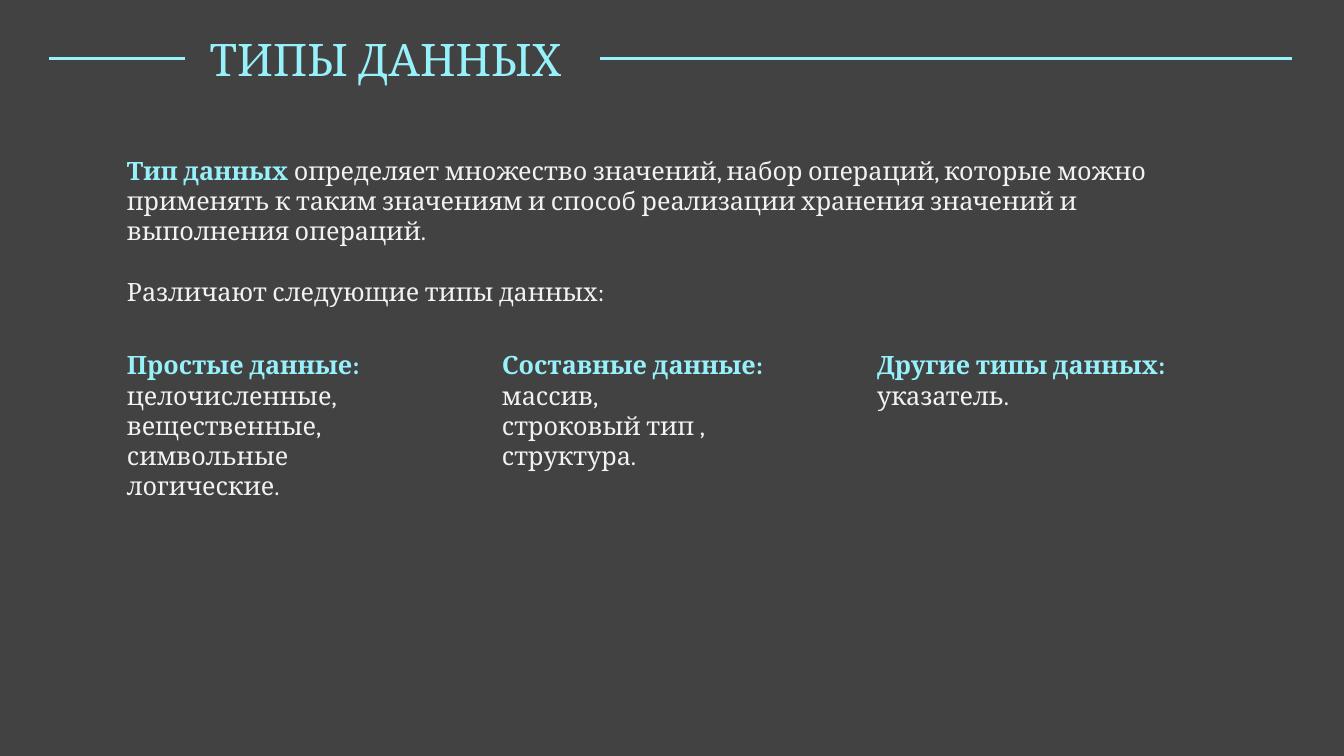
from pptx import Presentation
from pptx.dml.color import RGBColor
from pptx.enum.shapes import MSO_CONNECTOR
from pptx.enum.text import MSO_ANCHOR, MSO_AUTO_SIZE, PP_ALIGN
from pptx.oxml.ns import qn
from pptx.util import Inches, Pt
from lxml import etree

ACCENT, LIGHT, DARK = "97F1FB", "F2F2F2", "424242"


def rgb(value):
    return RGBColor.from_string(value)


def write(sp, box, paragraphs, size=18, wrap=True):
    sp.left, sp.top, sp.width, sp.height = [Inches(v) for v in box]
    tf = sp.text_frame
    tf.word_wrap = wrap
    tf.auto_size = MSO_AUTO_SIZE.NONE
    tf.vertical_anchor = MSO_ANCHOR.TOP
    for i, runs in enumerate(paragraphs):
        p = tf.add_paragraph() if i else tf.paragraphs[0]
        p.alignment = PP_ALIGN.LEFT
        for text, color, bold in runs:
            r = p.add_run()
            r.text = text
            r.font.name = "Cambria"
            r.font.size = Pt(size)
            r.font.bold = bold
            r.font.color.rgb = rgb(color)


prs = Presentation()
prs.slide_width, prs.slide_height = Inches(13.33), Inches(7.5)
s = prs.slides.add_slide(prs.slide_layouts[5])
s.background.fill.solid()
s.background.fill.fore_color.rgb = rgb(DARK)

for x1, x2 in [(0.49, 1.83), (5.95, 12.81)]:
    rule = s.shapes.add_connector(
        MSO_CONNECTOR.STRAIGHT, Inches(x1), Inches(0.58), Inches(x2), Inches(0.58))
    rule.line.color.rgb = rgb(ACCENT)
    rule.line.width = Pt(1.5)
    etree.SubElement(rule._element.spPr, qn("a:effectLst"))

write(s.shapes.title, (1.98, 0.26, 3.97, 0.64),
      [[("ТИПЫ ДАННЫХ", ACCENT, False)]], size=32, wrap=False)

intro = s.shapes.add_textbox(0, 0, 0, 0)
write(intro, (1.16, 1.49, 11.02, 1.62), [
    [("Тип данных", ACCENT, True),
     ("\u00a0определяет множество значений, набор операций, которые можно применять "
      "к таким значениям и способ реализации хранения значений и выполнения операций.",
      LIGHT, False)],
    [("Различают следующие типы данных:", LIGHT, False)],
])
intro.text_frame.paragraphs[1].space_before = Pt(21.6)

columns = [
    ("Простые данные:", ["целочисленные,", "вещественные,", "символьные", "логические."]),
    ("Составные данные:", ["массив,", "строковый тип ,", "структура."]),
    ("Другие типы данных:", ["указатель."]),
]
for i, (heading, items) in enumerate(columns):
    lines = [[(heading, ACCENT, True)]] + [[(item, LIGHT, False)] for item in items]
    write(s.shapes.add_textbox(0, 0, 0, 0),
          (1.16 + 3.72 * i, 3.42, 3.58, 0.1 + 0.3 * len(lines)), lines)

prs.save("out.pptx")
